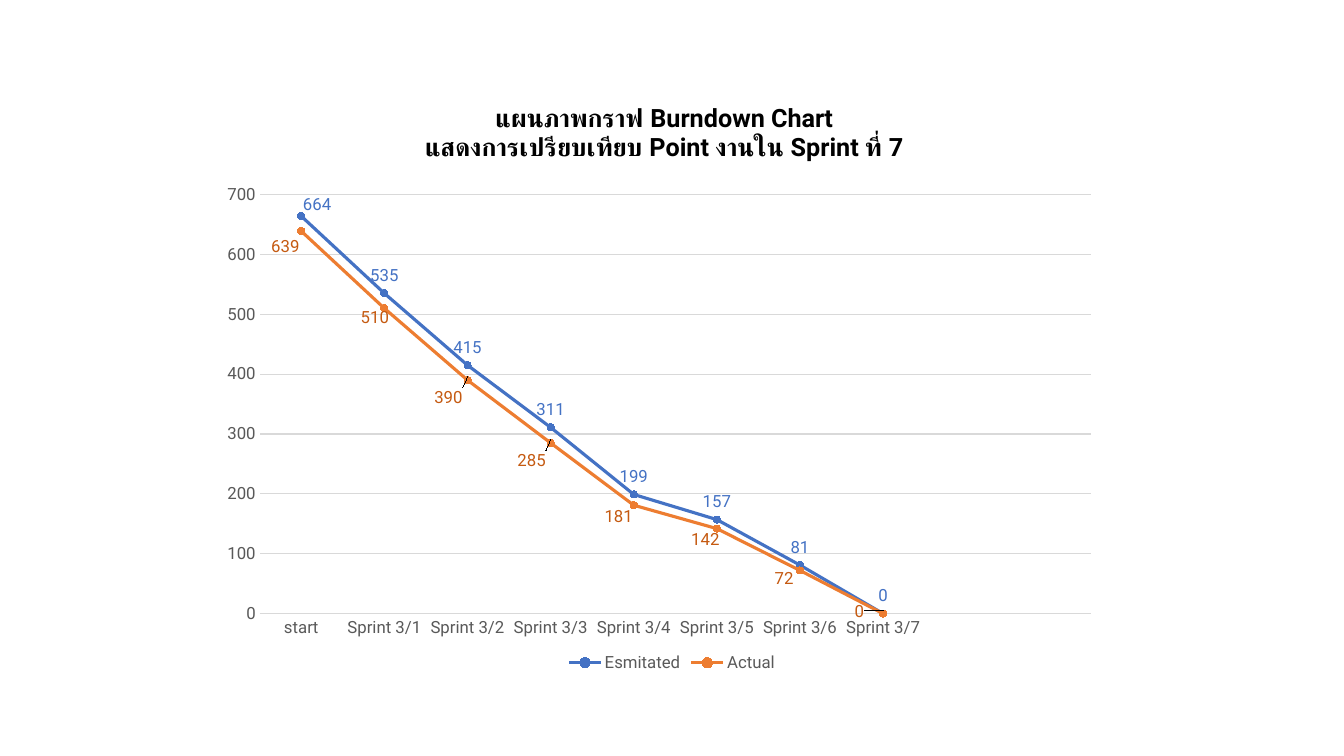
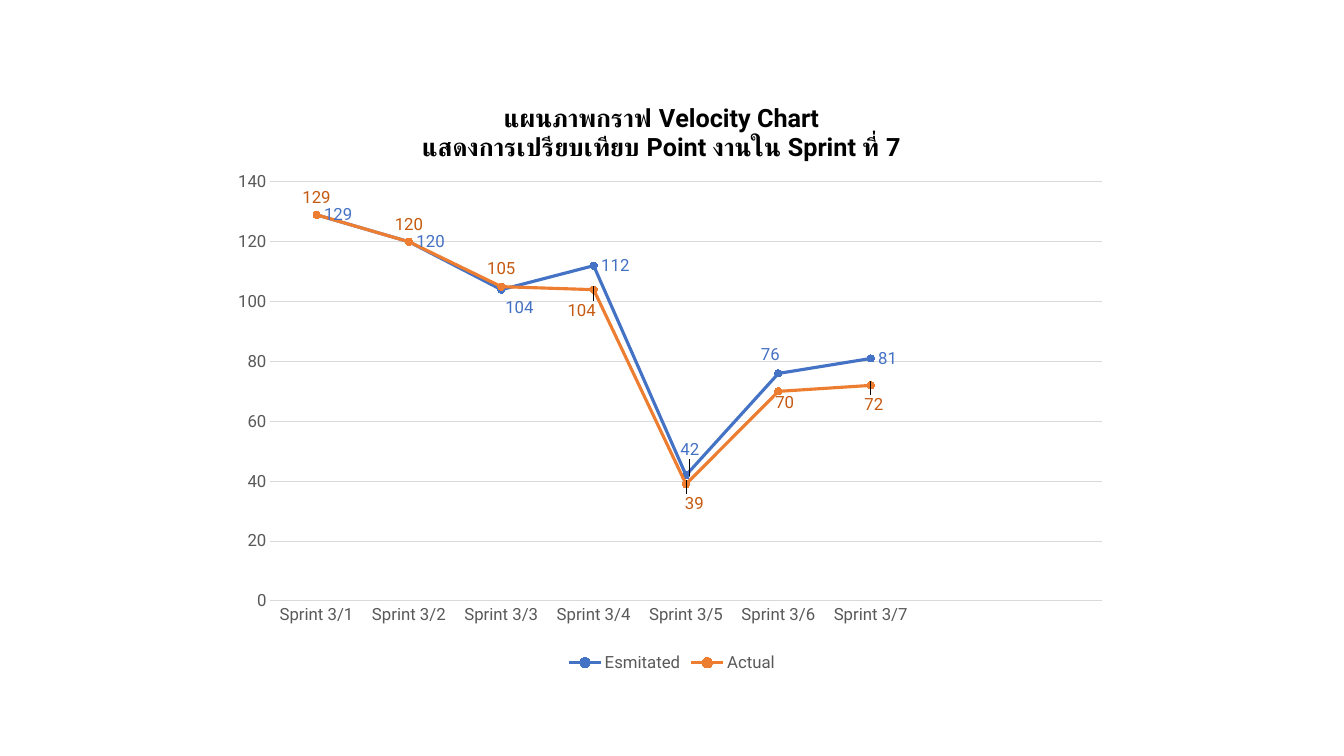
from dataclasses import dataclass

from lxml import etree
from pptx import Presentation
from pptx.chart.data import CategoryChartData
from pptx.dml.color import RGBColor
from pptx.enum import chart as ch
from pptx.oxml.ns import qn
from pptx.util import Cm, Pt


@dataclass(frozen=True)
class Theme:
    font: str = "Roboto"
    title: str = "000000"
    label: str = "595959"
    grid: str = "D9D9D9"
    title_size: int = 18
    label_size: int = 12
    marker_size: int = 5
    series_line: float = 2.25
    axis_line: float = 0.75


THEME = Theme()
ABOVE, RIGHT = ch.XL_LABEL_POSITION.ABOVE, ch.XL_LABEL_POSITION.RIGHT

# Line colour and label colour of each series, the same on every slide
SERIES_COLOURS = {"Esmitated": ("4472C4", "4472C4"), "Actual": ("ED7D31", "C55A11")}

SLIDE_W, SLIDE_H = Cm(33.87), Cm(19.05)
CHART_W, CHART_H = Cm(22.58), Cm(15.06)
PLOT_W, PLOT_H = 20.95, 10.56
SPRINTS = [f"Sprint 3/{number}" for number in range(1, 8)]
EMPTY_SLOTS = 2  # unused categories at the right of each chart

# "nudges" moves single labels away from the default place: point -> (right, down) in cm
CHARTS = [
    {
        "title": ["แผนภาพกราฟ Burndown Chart",
                  "แสดงการเปรียบเทียบ Point งานใน Sprint ที่ 7"],
        "title_at": (4.99, 0.5),
        "plot_at": (0.9, 2.91),
        "scale": (700, 100),
        "categories": ["start"] + SPRINTS,
        "series": [
            {"name": "Esmitated", "values": [664, 535, 415, 311, 199, 157, 81, 0],
             "position": ABOVE, "nudges": {0: (0.4, 0.15)}},
            {"name": "Actual", "values": [639, 510, 390, 285, 181, 142, 72, 0],
             "position": ABOVE,
             "nudges": {0: (-0.4, 0.84), 1: (-0.24, 0.68), 2: (-0.48, 0.88),
                        3: (-0.48, 0.88), 4: (-0.38, 0.73), 5: (-0.29, 0.73),
                        6: (-0.4, 0.66), 7: (-0.6, 0.4)}},
        ],
    },
    {
        "title": ["แผนภาพกราฟ Velocity Chart",
                  "แสดงการเปรียบเทียบ Point งานใน Sprint ที่ 7"],
        "title_at": (4.92, 0.5),
        "plot_at": (1.17, 2.59),
        "scale": (140, 20),
        "categories": SPRINTS,
        "series": [
            {"name": "Esmitated", "values": [129, 120, 104, 112, 42, 76, 81],
             "position": RIGHT,
             "nudges": {2: (-0.09, 0.45), 4: (-0.33, -0.64), 5: (-0.63, -0.48)}},
            {"name": "Actual", "values": [129, 120, 105, 104, 39, 70, 72],
             "position": ABOVE,
             "nudges": {3: (-0.3, 0.96), 4: (0.21, 0.93), 5: (0.16, 0.73),
                        6: (0.08, 0.93)}},
        ],
    },
]


def rgb(colour):
    return RGBColor.from_string(colour)


def style_font(font, colour=THEME.label, size=THEME.label_size, bold=False):
    font.name, font.size, font.bold = THEME.font, Pt(size), bold
    font.color.rgb = rgb(colour)


def write_lines(frame, lines, **font_format):
    """Write one paragraph per line, all in the same format."""
    for number, line in enumerate(lines):
        paragraph = frame.add_paragraph() if number else frame.paragraphs[0]
        run = paragraph.add_run()
        run.text = line
        style_font(run.font, **font_format)


def style_line(line, colour, width):
    line.color.rgb, line.width = rgb(colour), Pt(width)


def place(element, index, left, top, size=None, mode="edge"):
    """Give a chart part a manual layout, in cm, as its child number index."""
    for old in element.findall(qn("c:layout")):
        element.remove(old)
    layout = etree.Element(qn("c:layout"))
    manual = etree.SubElement(layout, qn("c:manualLayout"))

    def add(tag, value):
        etree.SubElement(manual, qn(f"c:{tag}")).set("val", str(value))

    if size:
        add("layoutTarget", "inner")
    if mode:
        add("xMode", mode)
        add("yMode", mode)
    add("x", Cm(left) / CHART_W)
    add("y", Cm(top) / CHART_H)
    if size:
        add("w", Cm(size[0]) / CHART_W)
        add("h", Cm(size[1]) / CHART_H)
    element.insert(index, layout)


def format_series(series, content):
    line_colour, label_colour = SERIES_COLOURS[content["name"]]
    series.smooth = False
    style_line(series.format.line, line_colour, THEME.series_line)
    marker = series.marker
    marker.style, marker.size = ch.XL_MARKER_STYLE.CIRCLE, THEME.marker_size
    marker.format.fill.solid()
    marker.format.fill.fore_color.rgb = rgb(line_colour)
    style_line(marker.format.line, line_colour, THEME.axis_line)

    labels = series.data_labels
    labels.show_value, labels.position = True, content["position"]
    style_font(labels.font, label_colour)
    for point, (right, down) in content["nudges"].items():
        label = series.points[point].data_label
        style_font(label.font, label_colour)
        label.position = content["position"]
        place(label._get_or_add_dLbl(), 1, right, down, mode=None)


def format_axes(chart, top, step):
    values, categories = chart.value_axis, chart.category_axis
    for axis in (values, categories):
        axis.major_tick_mark = axis.minor_tick_mark = ch.XL_TICK_MARK.NONE
        style_font(axis.tick_labels.font)
    style_line(categories.format.line, THEME.grid, THEME.axis_line)
    values.minimum_scale, values.maximum_scale, values.major_unit = 0, top, step
    values.format.line.fill.background()
    style_line(values.major_gridlines.format.line, THEME.grid, THEME.axis_line)


def add_line_chart(slide, content):
    data = CategoryChartData()
    data.categories = content["categories"] + [""] * EMPTY_SLOTS
    for series in content["series"]:
        data.add_series(series["name"], series["values"] + [None] * EMPTY_SLOTS)
    chart = slide.shapes.add_chart(
        ch.XL_CHART_TYPE.LINE_MARKERS, (SLIDE_W - CHART_W) // 2,
        (SLIDE_H - CHART_H) // 2, CHART_W, CHART_H, data).chart
    style_font(chart.font)

    chart.has_title = True
    write_lines(chart.chart_title.text_frame, content["title"],
                colour=THEME.title, size=THEME.title_size, bold=True)
    place(chart.chart_title._element, 1, *content["title_at"])

    chart.has_legend = True
    chart.legend.position = ch.XL_LEGEND_POSITION.BOTTOM
    chart.legend.include_in_layout = False
    style_font(chart.legend.font)

    format_axes(chart, *content["scale"])
    plot = chart.plots[0]
    plot.vary_by_categories = False
    for series, series_content in zip(plot.series, content["series"]):
        format_series(series, series_content)
    place(plot._element.getparent(), 0, *content["plot_at"], size=(PLOT_W, PLOT_H))


def main():
    deck = Presentation()
    deck.slide_width, deck.slide_height = SLIDE_W, SLIDE_H
    blank = deck.slide_layouts.get_by_name("Blank")
    for content in CHARTS:
        add_line_chart(deck.slides.add_slide(blank), content)
    deck.save("out.pptx")


if __name__ == "__main__":
    main()
